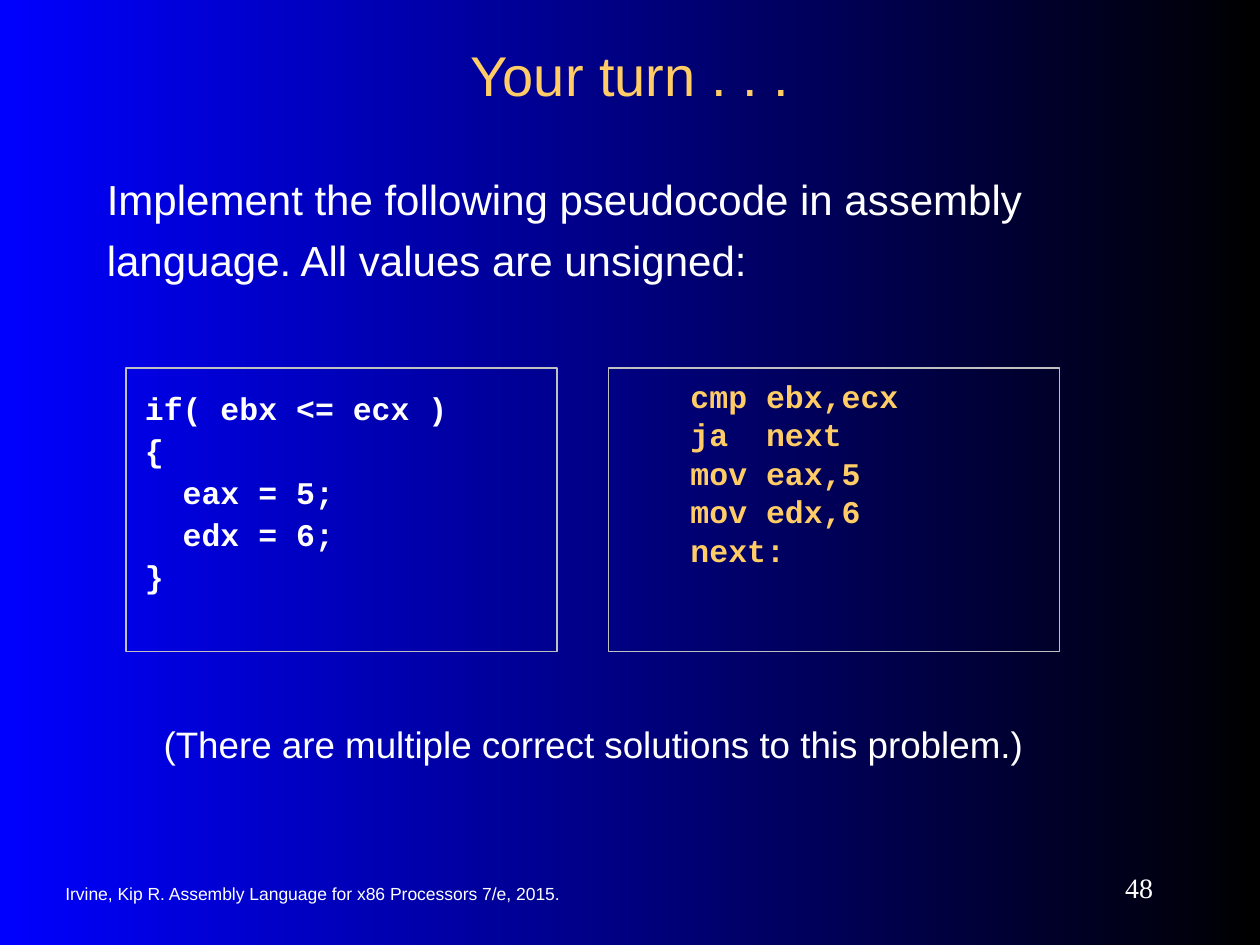
import pptx
import pptx.util
import pptx.dml.color
import pptx.enum.shapes
import pptx.enum.text

Inches = pptx.util.Inches
Pt = pptx.util.Pt
Align = pptx.enum.text.PP_ALIGN
Anchor = pptx.enum.text.MSO_ANCHOR

WHITE = "FFFFFF"
GOLD = "FFCC66"
SILVER = "C0C0C0"


def color(code):
    return pptx.dml.color.RGBColor.from_string(code)


def write(frame, text, size=18, font="Arial", ink=WHITE, bold=False,
          align=Align.LEFT, anchor=Anchor.TOP, pads=(0.1, 0.05),
          lead=None, before=0):
    frame.word_wrap = True
    frame.vertical_anchor = anchor
    left, top = pads
    frame.margin_left = Inches(left)
    frame.margin_right = Inches(min(left, 0.15))
    frame.margin_top = frame.margin_bottom = Inches(top)
    for index, line in enumerate(text.split("\n")):
        para = frame.add_paragraph() if index else frame.paragraphs[0]
        para.alignment = align
        para.space_before = Pt(before)
        if lead:
            para.line_spacing = lead
        run = para.add_run()
        run.text = line
        run.font.size = Pt(size)
        run.font.name = font
        run.font.bold = bold
        run.font.color.rgb = color(ink)


class Deck:
    def __init__(self, width, height):
        self.show = pptx.Presentation()
        self.show.slide_width = Inches(width)
        self.show.slide_height = Inches(height)
        self.slide = self.show.slides.add_slide(self.show.slide_layouts[6])

    def fade(self, start, end):
        fill = self.slide.background.fill
        fill.gradient()
        fill.gradient_angle = 0
        for stop, code, place in zip(fill.gradient_stops, (start, end), (0, 1)):
            stop.color.rgb = color(code)
            stop.position = place

    def label(self, area, text, **style):
        box = self.slide.shapes.add_textbox(*map(Inches, area))
        write(box.text_frame, text, **style)

    def code(self, area, text, **style):
        kind = pptx.enum.shapes.MSO_SHAPE.RECTANGLE
        box = self.slide.shapes.add_shape(kind, *map(Inches, area))
        box.shadow.inherit = False
        box.fill.background()
        box.line.color.rgb = color(SILVER)
        box.line.width = Pt(0.74)
        write(box.text_frame, text, font="Courier New", bold=True, **style)


deck = Deck(10, 7.5)
deck.fade("0000FF", "000000")
deck.label((0.42, 6.93, 5.17, 0.33),
           "Irvine, Kip R. Assembly Language for x86 Processors 7/e, 2015.",
           size=10, anchor=Anchor.MIDDLE)
deck.label((8.17, 6.83, 1.08, 0.42), "48", size=16, font="Times New Roman",
           align=Align.RIGHT, anchor=Anchor.MIDDLE)
deck.label((0.75, 0.25, 8.5, 0.67), "Your turn . . .", size=32, ink=GOLD,
           align=Align.CENTER, anchor=Anchor.MIDDLE)
deck.label((0.75, 1.25, 8.5, 1.33),
           "Implement the following pseudocode in assembly language. "
           "All values are unsigned:", size=24, lead=1.2, before=6)
deck.code((4.83, 2.92, 3.58, 2.25),
          "cmp ebx,ecx\nja  next\nmov eax,5\nmov edx,6\nnext:",
          ink=GOLD, pads=(0.65, 0.2), lead=0.5, before=11.2)
deck.code((1, 2.92, 3.42, 2.25),
          "if( ebx <= ecx )\n{\n  eax = 5;\n  edx = 6;\n}",
          pads=(0.15, 0.2), lead=0.9, before=4.5)
deck.label((0.75, 5.58, 7.92, 0.65),
           "(There are multiple correct solutions to this problem.)",
           size=21, align=Align.CENTER, pads=(0.1, 0.15), before=13.1)
deck.show.save("out.pptx")
